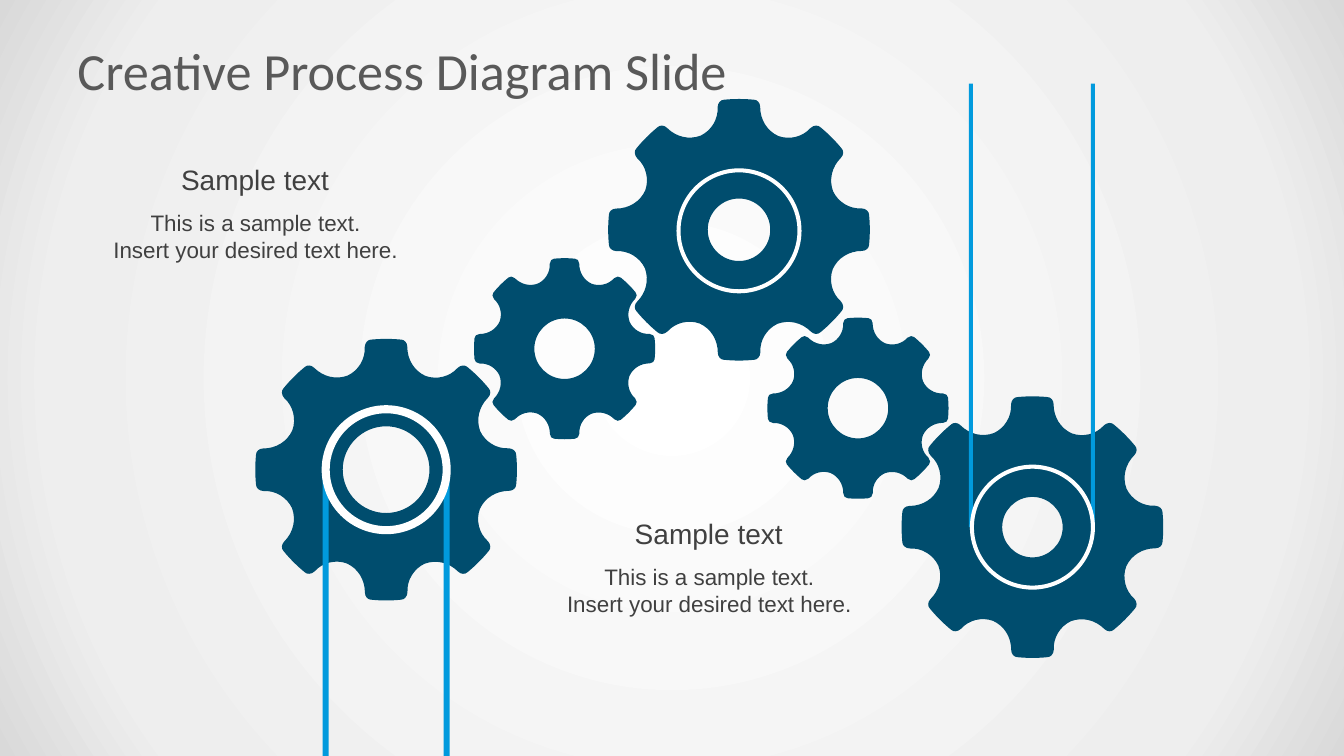
from dataclasses import dataclass
from math import cos, pi, sin

from lxml.etree import SubElement
from pptx import Presentation
from pptx.dml.color import RGBColor
from pptx.enum.shapes import MSO_SHAPE
from pptx.enum.text import MSO_ANCHOR, PP_ALIGN
from pptx.oxml.ns import qn
from pptx.shapes.base import BaseShape
from pptx.slide import Slide
from pptx.util import Inches, Pt

NAVY = "004D6E"
BLUE = "019ADD"
WHITE = "FFFFFF"
TITLE_GRAY = "595959"
TEXT_GRAY = "404040"

Point = tuple[float, float]

TEETH = 8
TOOTH_RADIUS = 1.3
BELT_LENGTH = 4.4
TOOTH_CURVES = [
    (-0.21, 1.26), (-0.18, 1.29), (-0.15, 1.29),
    (-0.05, 1.3), (0.05, 1.3), (0.15, 1.29),
    (0.18, 1.29), (0.21, 1.26), (0.21, 1.22),
    (0.21, 1.09), (0.28, 0.98), (0.39, 0.93),
    (0.5, 0.89), (0.63, 0.92), (0.71, 1.01),
]
QUARTER_CIRCLE = [(-0.55, 1), (-1, 0.55), (-1, 0)]


@dataclass
class Gear:
    x: float
    y: float
    radius: float
    hole_radius: float


@dataclass
class Belt:
    left: float
    top: float
    width: float


@dataclass
class Ring:
    x: float
    y: float
    radius: float
    thickness: float


@dataclass
class Caption:
    left: float
    top: float
    heading: str
    lines: list[str]


GEARS = [
    Gear(5.6, 3.46, 0.9, 0.3),
    Gear(8.51, 4.05, 0.9, 0.3),
    Gear(3.83, 4.66, 1.3, 0.43),
    Gear(7.33, 2.28, 1.3, 0.31),
    Gear(10.24, 5.23, 1.3, 0.3),
]
BELTS = [
    Belt(3.2, 4.66, 0.06),
    Belt(4.4, 4.66, 0.06),
    Belt(9.61, 0.83, 0.04),
    Belt(10.82, 0.83, 0.04),
]
RINGS = [
    Ring(7.33, 2.29, 0.62, 0.04),
    Ring(3.83, 4.66, 0.64, 0.08),
    Ring(10.24, 5.23, 0.62, 0.04),
]
SAMPLE_LINES = ["This is a sample text.", "Insert your desired text here."]
CAPTIONS = [
    Caption(0.97, 1.56, "Sample text", SAMPLE_LINES),
    Caption(5.47, 5.07, "Sample text", SAMPLE_LINES),
]


def color(value: str) -> RGBColor:
    return RGBColor.from_string(value)


def paint(shape: BaseShape, fill: str) -> None:
    shape.shadow.inherit = False
    shape.fill.solid()
    shape.fill.fore_color.rgb = color(fill)
    shape.line.fill.background()


def set_background(slide: Slide) -> None:
    slide.background.fill.gradient()
    gradient = slide.background._cSld.find(".//" + qn("a:gradFill"))
    for child in list(gradient):
        gradient.remove(child)
    stops = SubElement(gradient, qn("a:gsLst"))
    for position, value in [(0, WHITE), (81, "EEEEEE"), (100, "D9D9D9")]:
        stop = SubElement(stops, qn("a:gs"), pos=str(position * 1000))
        SubElement(stop, qn("a:srgbClr"), val=value)
    circle = SubElement(gradient, qn("a:path"), path="circle")
    SubElement(circle, qn("a:fillToRect"), l="50000", t="50000", r="50000", b="50000")


def repeat_around(gear: Gear, points: list[Point], scale: float, turns: int,
                  direction: int) -> list[Point]:
    outline = []
    for index in range(turns):
        angle = direction * index * 2 * pi / turns
        for x, y in points:
            across = x * cos(angle) + y * sin(angle)
            up = y * cos(angle) - x * sin(angle)
            outline.append((Inches(gear.x + across * scale), Inches(gear.y - up * scale)))
    return outline


def turn_lines_into_curves(shape: BaseShape) -> None:
    lines = list(shape._element.iter(qn("a:lnTo")))
    for index in range(0, len(lines), 3):
        first, second, third = lines[index:index + 3]
        curve = first.makeelement(qn("a:cubicBezTo"))
        first.addprevious(curve)
        for line in (first, second, third):
            curve.append(line[0])
            line.getparent().remove(line)


def draw_gear(slide: Slide, gear: Gear) -> None:
    outer = repeat_around(gear, TOOTH_CURVES, gear.radius / TOOTH_RADIUS, TEETH, 1)
    hole = repeat_around(gear, QUARTER_CIRCLE, gear.hole_radius, 4, -1)
    builder = slide.shapes.build_freeform(*outer[-1])
    builder.add_line_segments(outer, close=True)
    builder.move_to(*hole[-1])
    builder.add_line_segments(hole, close=True)
    shape = builder.convert_to_shape()
    turn_lines_into_curves(shape)
    paint(shape, NAVY)


def draw_belt(slide: Slide, belt: Belt) -> None:
    shape = slide.shapes.add_shape(
        MSO_SHAPE.RECTANGLE, Inches(belt.left), Inches(belt.top),
        Inches(belt.width), Inches(BELT_LENGTH))
    paint(shape, BLUE)


def draw_ring(slide: Slide, ring: Ring) -> None:
    diameter = 2 * ring.radius
    shape = slide.shapes.add_shape(
        MSO_SHAPE.DONUT, Inches(ring.x - ring.radius), Inches(ring.y - ring.radius),
        Inches(diameter), Inches(diameter))
    shape.adjustments[0] = ring.thickness / diameter
    paint(shape, WHITE)


def draw_text(slide: Slide, box: tuple[float, float, float, float], lines: list[str],
              size: float, font: str, text_color: str, alignment: PP_ALIGN,
              anchor: MSO_ANCHOR = MSO_ANCHOR.TOP) -> None:
    text_frame = slide.shapes.add_textbox(*[Inches(length) for length in box]).text_frame
    text_frame.word_wrap = True
    text_frame.vertical_anchor = anchor
    text_frame.text = "\n".join(lines)
    for paragraph in text_frame.paragraphs:
        paragraph.alignment = alignment
        for run in paragraph.runs:
            run.font.size = Pt(size)
            run.font.name = font
            run.font.color.rgb = color(text_color)


def draw_caption(slide: Slide, caption: Caption) -> None:
    draw_text(slide, (caption.left, caption.top + 0.47, 3.13, 0.64), caption.lines,
              16, "Arial", TEXT_GRAY, PP_ALIGN.CENTER)
    draw_text(slide, (caption.left, caption.top, 3.12, 0.44), [caption.heading],
              20, "Arial", TEXT_GRAY, PP_ALIGN.CENTER)


def main() -> None:
    presentation = Presentation()
    presentation.slide_width = Inches(13.33)
    presentation.slide_height = Inches(7.5)
    slide = presentation.slides.add_slide(presentation.slide_layouts[6])
    set_background(slide)
    draw_text(slide, (0.67, 0.3, 12, 0.78), ["Creative Process Diagram Slide"],
              37.3, "Calibri", TITLE_GRAY, PP_ALIGN.LEFT, MSO_ANCHOR.MIDDLE)
    for gear in GEARS:
        draw_gear(slide, gear)
    for belt in BELTS:
        draw_belt(slide, belt)
    for ring in RINGS:
        draw_ring(slide, ring)
    for caption in CAPTIONS:
        draw_caption(slide, caption)
    presentation.save("out.pptx")


if __name__ == "__main__":
    main()
